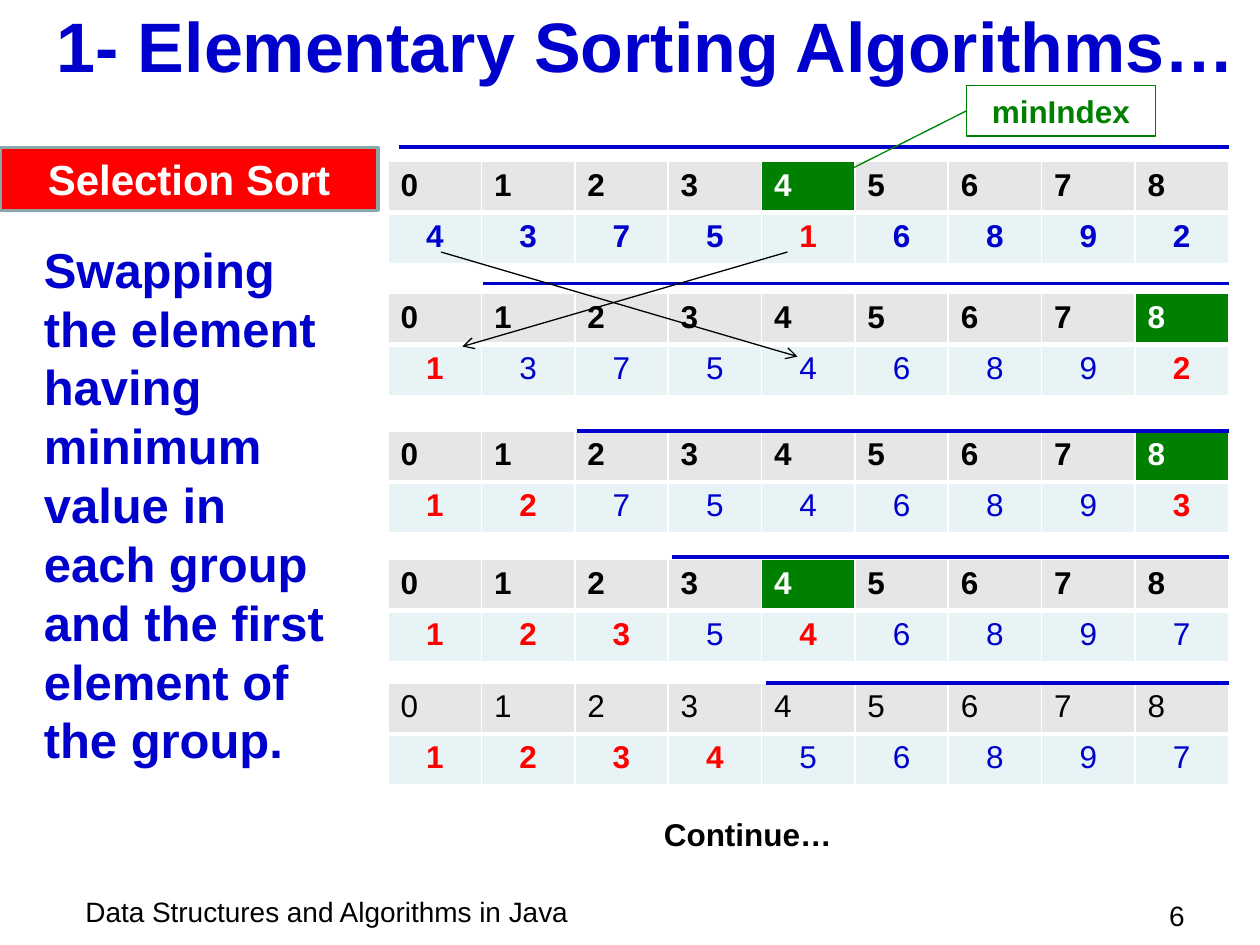
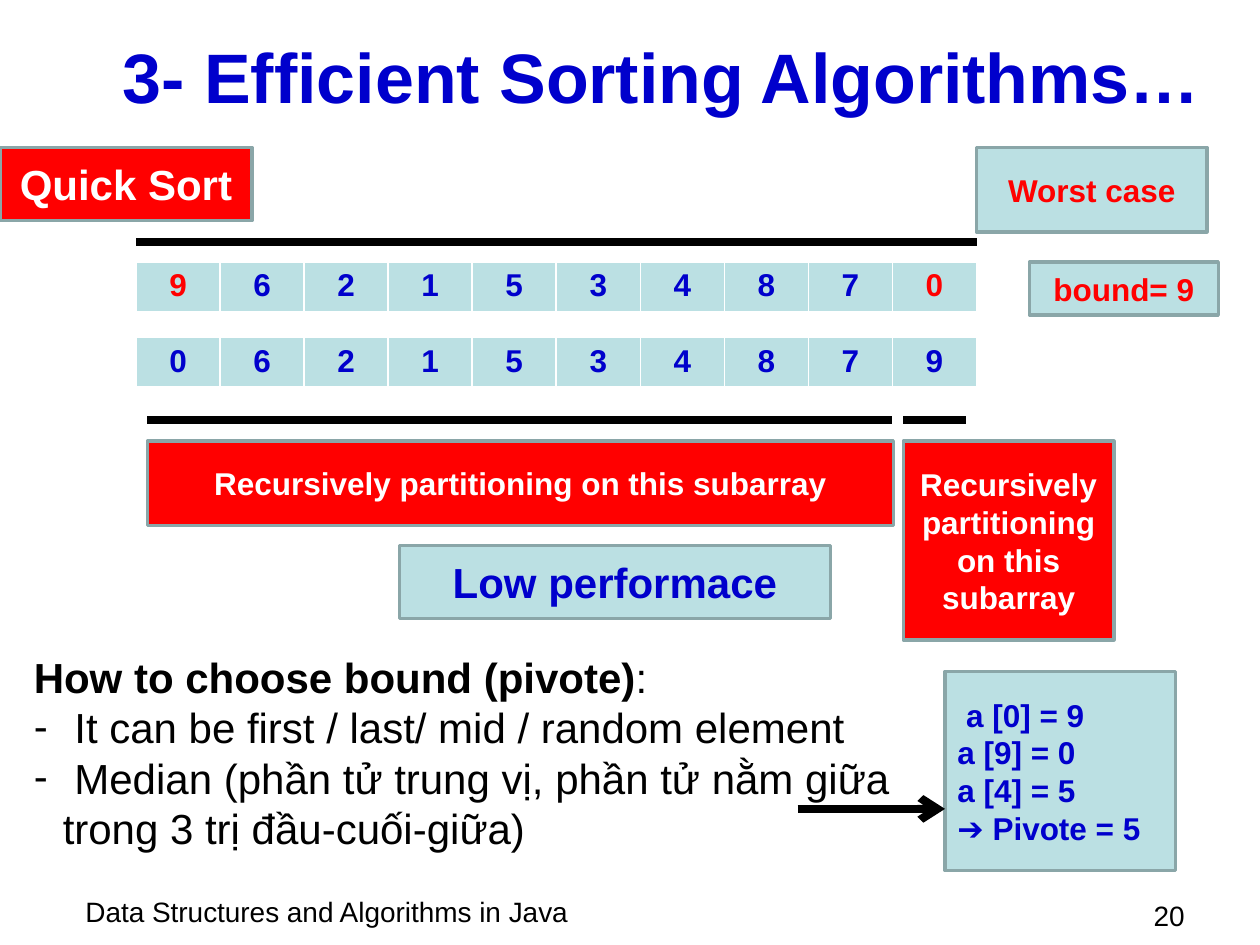
"""Build two slides that explain selection sort and the worst case of quick sort."""
from dataclasses import dataclass
from typing import Optional

from lxml.etree import SubElement
from pptx import Presentation
from pptx.dml.color import RGBColor
from pptx.enum.shapes import MSO_CONNECTOR as Connector, MSO_SHAPE as Preset
from pptx.enum.text import MSO_ANCHOR as Anchor, PP_ALIGN as Align
from pptx.oxml.ns import qn
from pptx.slide import Slide
from pptx.util import Inches, Pt

COLORS = {
    "black": "000000",
    "white": "FFFFFF",
    "blue": "0000CC",
    "red": "FF0000",
    "green": "008000",
    "edge": "8AA6A8",
    "aqua": "BBE0E3",
    "pale": "E7F3F4",
    "gray": "E6E6E6",
}
FONT = "Arial"
FOOTER = "Data Structures and Algorithms in Java"


@dataclass(frozen=True)
class Span:
    text: str
    size: int = 18
    color: str = "black"
    bold: bool = True


@dataclass(frozen=True)
class Para:
    spans: tuple[Span, ...]
    bullet: str = ""


@dataclass(frozen=True)
class Box:
    place: tuple[float, float, float, float]
    paras: tuple[Para, ...]
    align: Align = Align.LEFT
    anchor: Anchor = Anchor.TOP
    fill: Optional[str] = None
    line: Optional[str] = None
    weight: float = 2


@dataclass(frozen=True)
class Rule:
    start: tuple[float, float]
    end: tuple[float, float]
    color: str = "black"
    weight: float = 0.75
    arrow: bool = False


@dataclass(frozen=True)
class Cell:
    span: Span
    fill: str
    align: Align = Align.CENTER


@dataclass(frozen=True)
class Grid:
    left: float
    top: float
    rows: tuple[tuple[Cell, ...], ...]


@dataclass(frozen=True)
class SortPass:
    top: float
    rule_left: float
    rule_top: float
    values: str
    red: str
    min_index: Optional[int] = None
    bold_values: bool = False
    bold_header: bool = True


def rgb(name: str) -> RGBColor:
    return RGBColor.from_string(COLORS[name])


def line_of(text: str, size: int = 18, color: str = "black",
            bold: bool = True) -> tuple[Para, ...]:
    return (Para((Span(text, size, color, bold),)),)


def label(place: tuple[float, float, float, float], text: str, fill: str,
          color: str, size: int = 18) -> Box:
    return Box(place, line_of(text, size, color), Align.CENTER, Anchor.MIDDLE,
               fill, "edge")


def write_span(paragraph, span: Span) -> None:
    run = paragraph.add_run()
    run.text = span.text
    run.font.name = FONT
    run.font.size = Pt(span.size)
    run.font.bold = span.bold
    run.font.color.rgb = rgb(span.color)


def add_bullet(paragraph, mark: str) -> None:
    properties = paragraph._p.get_or_add_pPr()
    properties.set("marL", str(Inches(0.23)))
    properties.set("indent", str(-Inches(0.23)))
    SubElement(properties, qn("a:buFont")).set("typeface", FONT)
    SubElement(properties, qn("a:buChar")).set("char", mark)


def draw_box(page: Slide, box: Box) -> None:
    place = [Inches(length) for length in box.place]
    if box.line:
        shape = page.shapes.add_shape(Preset.RECTANGLE, *place)
        shape.shadow.inherit = False
        shape.line.color.rgb = rgb(box.line)
        shape.line.width = Pt(box.weight)
        if box.fill:
            shape.fill.solid()
            shape.fill.fore_color.rgb = rgb(box.fill)
        else:
            shape.fill.background()
    else:
        shape = page.shapes.add_textbox(*place)
    frame = shape.text_frame
    frame.word_wrap = True
    frame.vertical_anchor = box.anchor
    for index, para in enumerate(box.paras):
        paragraph = frame.add_paragraph() if index else frame.paragraphs[0]
        paragraph.alignment = box.align
        if para.bullet:
            add_bullet(paragraph, para.bullet)
        for span in para.spans:
            write_span(paragraph, span)


def draw_rule(page: Slide, rule: Rule) -> None:
    ends = [Inches(length) for length in rule.start + rule.end]
    connector = page.shapes.add_connector(Connector.STRAIGHT, *ends)
    connector.line.color.rgb = rgb(rule.color)
    connector.line.width = Pt(rule.weight)
    properties = connector._element.spPr
    if rule.arrow:
        SubElement(properties.find(qn("a:ln")), qn("a:tailEnd")).set("type", "arrow")
    SubElement(properties, qn("a:effectLst"))


def add_borders(cell, first_row: bool) -> None:
    properties = cell._tc.get_or_add_tcPr()
    weights = {
        "a:lnL": 1,
        "a:lnR": 1,
        "a:lnT": 1 if first_row else 3,
        "a:lnB": 3 if first_row else 1,
    }
    for tag, weight in weights.items():
        border = SubElement(properties, qn(tag))
        border.set("w", str(Pt(weight)))
        fill = SubElement(border, qn("a:solidFill"))
        SubElement(fill, qn("a:srgbClr")).set("val", COLORS["white"])


def draw_grid(page: Slide, grid: Grid) -> None:
    row_count, column_count = len(grid.rows), len(grid.rows[0])
    width, height = Inches(6.67), Inches(0.405)
    table = page.shapes.add_table(row_count, column_count, Inches(grid.left),
                                  Inches(grid.top), width,
                                  height * row_count).table
    table.first_row = False
    table.horz_banding = False
    for row_index, row in enumerate(grid.rows):
        for column_index, item in enumerate(row):
            cell = table.cell(row_index, column_index)
            add_borders(cell, row_index == 0)
            cell.fill.solid()
            cell.fill.fore_color.rgb = rgb(item.fill)
            paragraph = cell.text_frame.paragraphs[0]
            paragraph.alignment = item.align
            write_span(paragraph, item.span)


def draw_pass(page: Slide, step: SortPass) -> None:
    header = []
    data = []
    for index, value in enumerate(step.values):
        chosen = index == step.min_index
        heading = Span(str(index), color="white" if chosen else "black",
                       bold=step.bold_header)
        header.append(Cell(heading, "green" if chosen else "gray", Align.LEFT))
        is_red = value in step.red
        number = Span(value, color="red" if is_red else "blue",
                      bold=is_red or step.bold_values)
        data.append(Cell(number, "pale"))
    draw_grid(page, Grid(3.08, step.top, (tuple(header), tuple(data))))
    draw_rule(page, Rule((step.rule_left, step.rule_top), (9.75, step.rule_top),
                         "blue", 2.25))


def draw_array(page: Slide, top: float, values: str, red: str = "") -> None:
    cells = tuple(Cell(Span(value, color="red" if value in red else "blue"), "aqua")
                  for value in values)
    draw_grid(page, Grid(1.08, top, (cells,)))


def start_page(deck, title: str, place: tuple[float, float, float, float],
               number: int) -> Slide:
    page = deck.slides.add_slide(deck.slide_layouts[6])
    draw_box(page, Box((0.58, 7.05, 5.67, 0.37), line_of(FOOTER, 16, bold=False)))
    draw_box(page, Box((8.75, 7.08, 0.75, 0.33),
                       line_of(str(number), 16, bold=False), Align.RIGHT))
    draw_box(page, Box(place, line_of(title, 40, "blue"), Align.CENTER, Anchor.MIDDLE))
    return page


def build_selection_sort(deck) -> None:
    page = start_page(deck, "1- Elementary Sorting Algorithms…",
                      (0.25, 0, 9.75, 0.7), 6)
    passes = (
        SortPass(1.28, 3.17, 1.17, "437516892", "1", 4, bold_values=True),
        SortPass(2.33, 3.83, 2.25, "137546892", "12", 8),
        SortPass(3.42, 4.58, 3.42, "127546893", "123", 8),
        SortPass(4.44, 5.33, 4.42, "123546897", "1234", 4),
        SortPass(5.42, 6.08, 5.42, "123456897", "1234", bold_header=False),
    )
    for step in passes:
        draw_pass(page, step)

    advice = ("Swapping the element having minimum value in each group "
              "and the first element of the group.")
    boxes = (
        Box((5.17, 6.42, 1.75, 0.4), line_of("Continue…")),
        Box((0.25, 1.85, 2.5, 4.81), line_of(advice, 28, "blue")),
        Box((7.67, 0.68, 1.5, 0.4), line_of("minIndex", color="green"),
            Align.CENTER, line="green", weight=0.75),
        label((0, 1.17, 3, 0.5), "Selection Sort", "red", "white", 24),
    )
    for box in boxes:
        draw_box(page, box)

    arrows = (
        Rule((6.25, 2), (3.67, 2.75), arrow=True),
        Rule((3.5, 2), (6.33, 2.83), arrow=True),
        Rule((7.67, 0.88), (6.42, 1.51), "green", arrow=True),
    )
    for arrow in arrows:
        draw_rule(page, arrow)


def build_quick_sort(deck) -> None:
    page = start_page(deck, "3- Efficient Sorting Algorithms…",
                      (0.5, 0.25, 9.5, 0.7), 20)
    draw_array(page, 2.08, "9621534870", red="90")
    draw_array(page, 2.68, "0621534879")

    recursion = "Recursively partitioning on this subarray"
    choices = (
        " It can be first / last/ mid / random element",
        " Median (phần tử trung vị, phần tử nằm giữa trong 3 trị đầu-cuối-giữa)",
    )
    question = Para((Span("How to choose bound (pivote)", 24),
                     Span(":", 24, bold=False)))
    answers = tuple(Para((Span(choice, 24, bold=False),), "-") for choice in choices)
    samples = (" a [0] = 9", "a [9] = 0", "a [4] = 5", "➔ Pivote = 5")
    sample_paras = tuple(Para((Span(sample, color="blue"),)) for sample in samples)
    boxes = (
        label((0, 1.17, 2, 0.58), "Quick Sort", "red", "white", 24),
        label((7.75, 1.17, 1.83, 0.67), "Worst case", "aqua", "red"),
        label((8.17, 2.08, 1.5, 0.42), "bound= 9", "aqua", "red"),
        label((1.17, 3.5, 5.92, 0.67), recursion, "red", "white"),
        label((7.17, 3.5, 1.67, 1.58), recursion, "red", "white"),
        Box((0.17, 5.12, 7.17, 1.72), (question, *answers)),
        label((3.17, 4.33, 3.42, 0.58), "Low performace", "aqua", "blue", 24),
        Box((7.5, 5.33, 1.83, 1.58), sample_paras, anchor=Anchor.MIDDLE,
            fill="aqua", line="edge"),
    )
    for box in boxes:
        draw_box(page, box)

    for left, right, top in ((1.08, 7.75, 1.92), (1.17, 7.08, 3.33), (7.17, 7.67, 3.33)):
        draw_rule(page, Rule((left, top), (right, top), weight=4.5))
    draw_rule(page, Rule((6.33, 6.42), (7.5, 6.42), weight=4.5, arrow=True))


def main() -> None:
    deck = Presentation()
    deck.slide_width, deck.slide_height = Inches(10), Inches(7.5)
    build_selection_sort(deck)
    build_quick_sort(deck)
    deck.save("out.pptx")


if __name__ == "__main__":
    main()
